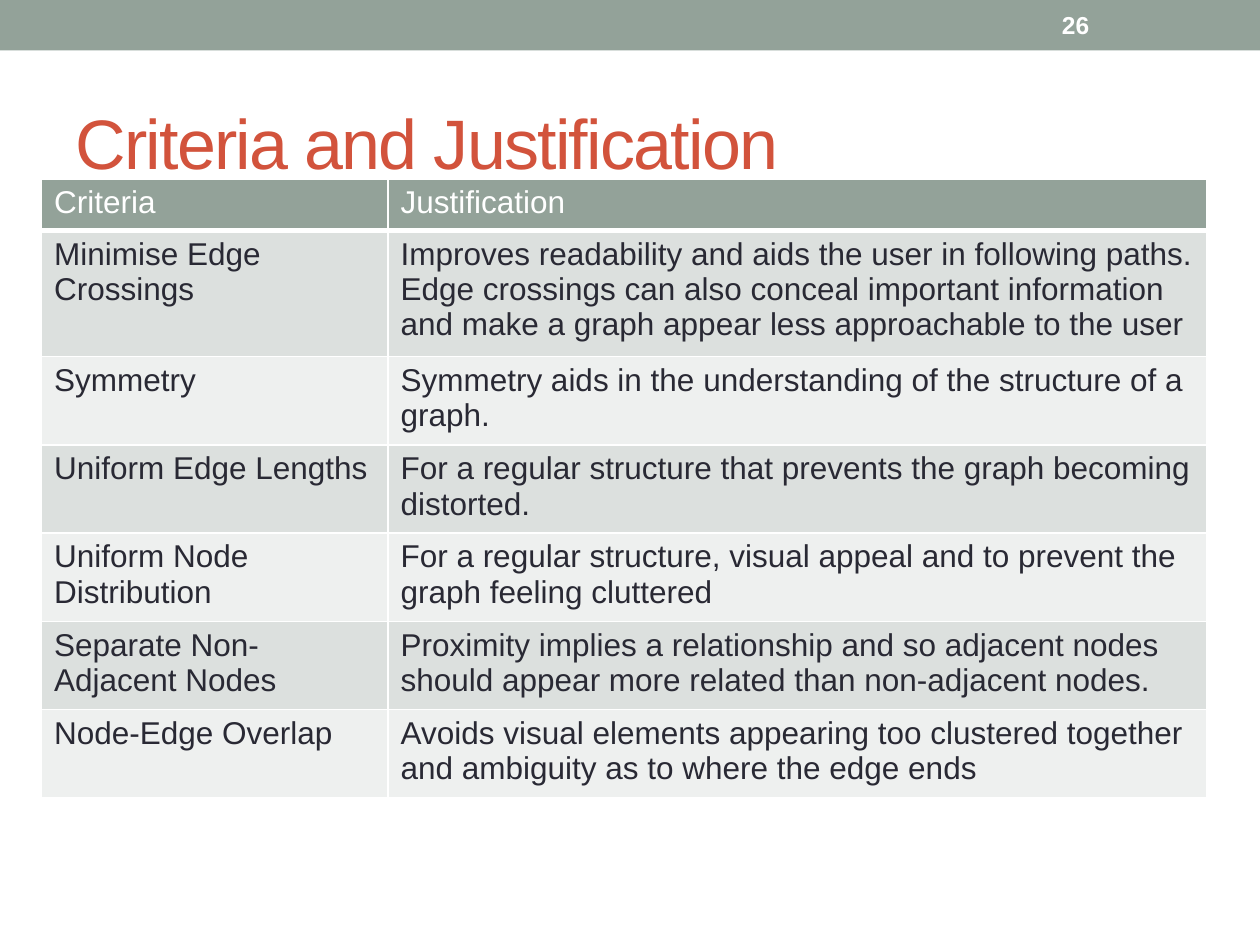
from dataclasses import dataclass
from lxml.etree import SubElement as Sub
from pptx import Presentation
from pptx.dml.color import RGBColor as Color
from pptx.enum.shapes import MSO_SHAPE as Shape
from pptx.enum.text import MSO_ANCHOR as Anchor
from pptx.oxml.ns import qn
from pptx.util import Inches, Pt


@dataclass(frozen=True)
class Theme:
    face: str = "Arial"
    sage: str = "93A299"
    rust: str = "D2533C"
    ink: str = "292934"
    white: str = "FFFFFF"
    bands: tuple = ("DCE0DE", "EEF0EF")
    title: int = 40
    page: int = 14
    body: int = 18


THEME = Theme()
HEAD = ("Criteria", "Justification")
ROWS = [
    ("Minimise Edge Crossings",
     "Improves readability and aids the user in following paths.\n"
     "Edge crossings can also conceal important information and make a graph "
     "appear less approachable to the user"),
    ("Symmetry",
     "Symmetry aids in the understanding of the structure of a graph."),
    ("Uniform Edge Lengths",
     "For a regular structure that prevents the graph becoming distorted."),
    ("Uniform Node Distribution",
     "For a regular structure, visual appeal and to prevent the graph feeling cluttered"),
    ("Separate Non-Adjacent Nodes",
     "Proximity implies a relationship and so adjacent nodes should appear "
     "more related than non-adjacent nodes."),
    ("Node-Edge Overlap",
     "Avoids visual elements appearing too clustered together and ambiguity "
     "as to where the edge ends"),
]


def write(frame, text, size, color, bold=False):
    frame.text = text
    look = {"name": THEME.face, "size": Pt(size), "bold": bold}
    for para in frame.paragraphs:
        for run in para.runs:
            for key, value in look.items():
                setattr(run.font, key, value)
            run.font.color.rgb = Color.from_string(color)


def add_text(slide, box, *look):
    frame = slide.shapes.add_textbox(*map(Inches, box)).text_frame
    frame.word_wrap = True
    frame.vertical_anchor = Anchor.MIDDLE
    write(frame, *look)
    return frame


def add_banner(slide, box, number):
    left, top, width, height = box
    bar = slide.shapes.add_shape(Shape.RECTANGLE, *map(Inches, box))
    bar.shadow.inherit = False
    bar.fill.solid()
    bar.fill.fore_color.rgb = Color.from_string(THEME.sage)
    bar.line.fill.background()
    spot = (left + width - 1.67, top + 0.02, 1.17, height - 0.04)
    add_text(slide, spot, number, THEME.page, THEME.white, True)


def add_title(slide, box, text):
    frame = add_text(slide, box, text, THEME.title, THEME.rust)
    for run in frame.paragraphs[0].runs:
        run.font._element.set("spc", "-100")


def add_edges(cell, base):
    props = cell._tc.get_or_add_tcPr()
    for side, width in {"L": 1, "R": 1, "T": 1, "B": base}.items():
        line = Sub(props, qn(f"a:ln{side}"), w=str(Pt(width)))
        Sub(Sub(line, qn("a:solidFill")), qn("a:srgbClr"), val=THEME.white)


def add_grid(slide, box, widths, heights):
    data = [HEAD, *ROWS]
    table = slide.shapes.add_table(len(data), len(HEAD), *map(Inches, box)).table
    for column, width in zip(table.columns, widths):
        column.width = Inches(width)
    for row, height in zip(table.rows, heights):
        row.height = Inches(height)
    for i, texts in enumerate(data):
        fill = THEME.bands[(i - 1) % 2] if i else THEME.sage
        for cell, text in zip(table.rows[i].cells, texts):
            add_edges(cell, 1 if i else 3)
            cell.fill.solid()
            cell.fill.fore_color.rgb = Color.from_string(fill)
            write(cell.text_frame, text, THEME.body, THEME.ink if i else THEME.white)


def main():
    deck = Presentation()
    deck.slide_width, deck.slide_height = Inches(10), Inches(7.5)
    slide = deck.slides.add_slide(deck.slide_layouts[6])
    add_banner(slide, (0, 0, 10, 0.4), "26")
    add_title(slide, (0.5, 0.58, 9, 1.08), "Criteria and Justification")
    add_grid(slide, (0.33, 1.42, 9.25, 4.91), (2.75, 6.5), (0.41, 1, *[0.7] * 5))
    deck.save("out.pptx")


if __name__ == "__main__":
    main()
